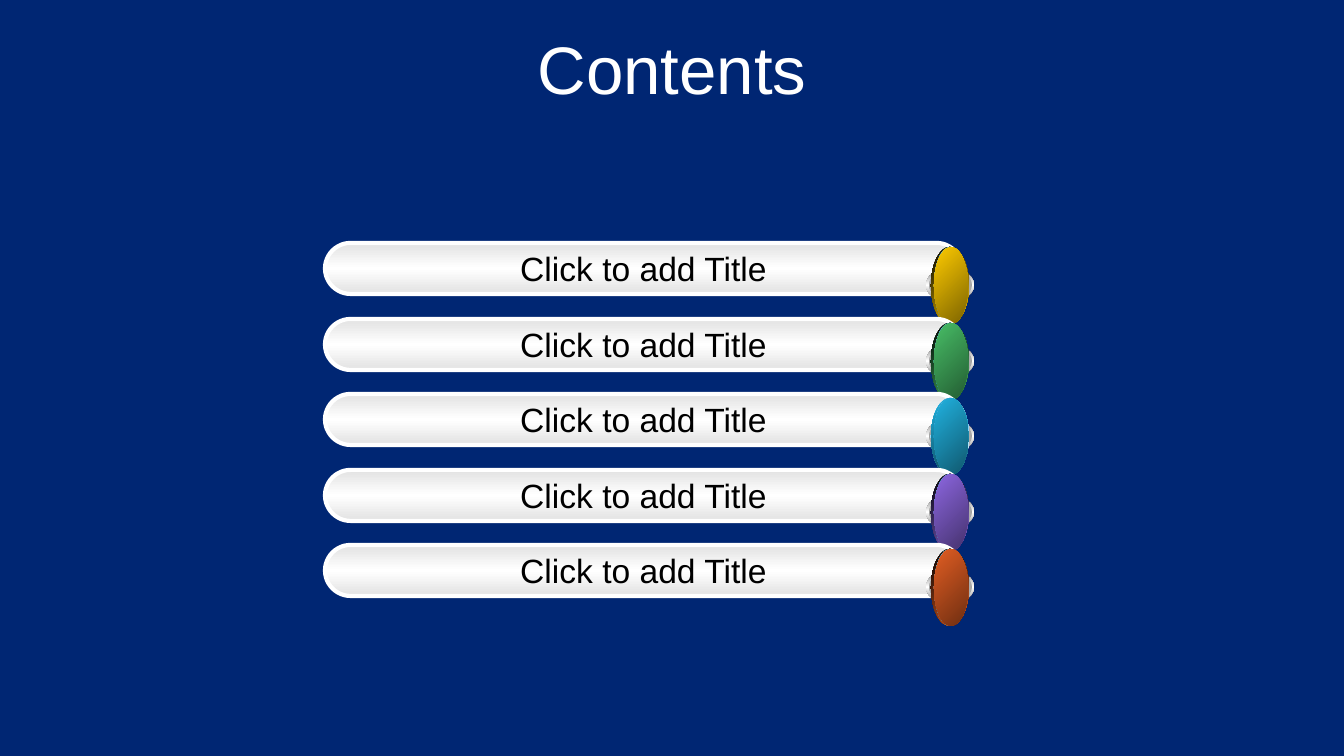
from copy import deepcopy

from pptx import Presentation
from pptx.dml.color import RGBColor
from pptx.enum.shapes import MSO_SHAPE
from pptx.enum.text import MSO_ANCHOR, PP_ALIGN
from pptx.oxml.ns import qn
from pptx.util import Emu, Pt

EMU_PER_PX = 914400 / 134.4
FONT = "Arial"
COLORS = {
    "background": "002673",
    "white": "FFFFFF",
    "black": "000000",
    "bar_edge": "E2E2E2",
    "socket_edge": "767676",
    "socket_inner": "A2A2A2",
    "glow": "66C5F4",
    "glow_edge": "4E97BB",
    "yellow": "FFCC00",
    "yellow_dark": "7C6300",
    "green": "48BE67",
    "green_dark": "235C32",
    "blue": "21B3E1",
    "blue_rim": "0F5368",
    "blue_dark": "10576D",
    "purple": "8D67E1",
    "purple_dark": "45326D",
    "orange": "E35E23",
    "orange_dark": "6E2E11",
}
# Label, knob face colors, knob rim colors, rim angle
ITEMS = [
    ("Click to add Title", ("yellow", "yellow_dark"), ("black", "yellow"), 45),
    ("Click to add Title", ("green", "green_dark"), ("black", "green"), 45),
    ("Click to add Title", ("blue", "blue_dark"), ("blue", "blue_rim"), 90),
    ("Click to add Title", ("purple", "purple_dark"), ("black", "purple"), 45),
    ("Click to add Title", ("orange", "orange_dark"), ("black", "orange"), 45),
]
ROW_PITCH = 75.6


def px(length):
    return Emu(round(length * EMU_PER_PX))


def rgb(name):
    return RGBColor.from_string(COLORS[name])


def fill_gradient(shape, names, angle):
    """Spread the named colors evenly; the angle runs clockwise in degrees."""
    fill = shape.fill
    fill.gradient()
    stop_list = shape.element.spPr.find(qn("a:gradFill")).find(qn("a:gsLst"))
    while len(stop_list) < len(names):
        stop_list.append(deepcopy(stop_list[0]))
    for index, (stop, name) in enumerate(zip(fill.gradient_stops, names)):
        stop.position = index / (len(names) - 1)
        stop.color.rgb = rgb(name)
    fill.gradient_angle = -angle % 360


def add_gradient_shape(shapes, preset, box, names, angle):
    shape = shapes.add_shape(preset, *map(px, box))
    shape.shadow.inherit = False
    shape.line.fill.background()
    fill_gradient(shape, names, angle)
    return shape


def write_text(shape, text, size, color):
    frame = shape.text_frame
    frame.vertical_anchor = MSO_ANCHOR.MIDDLE
    paragraph = frame.paragraphs[0]
    paragraph.alignment = PP_ALIGN.CENTER
    run = paragraph.add_run()
    run.text = text
    run.font.name = FONT
    run.font.size = Pt(size)
    run.font.color.rgb = rgb(color)


def add_title(slide, box):
    title = slide.shapes.add_textbox(*map(px, box))
    title.text_frame.word_wrap = True
    write_text(title, "Contents", 36, "white")


def add_bar(slide, box, label):
    bar = add_gradient_shape(slide.shapes, MSO_SHAPE.ROUNDED_RECTANGLE, box,
                             ("bar_edge", "white", "bar_edge"), 90)
    bar.adjustments[0] = 0.5
    bar.line.color.rgb = rgb("white")
    bar.line.width = Pt(2.25)
    bar.text_frame.word_wrap = False
    write_text(bar, label, 18, "black")


def add_knob(slide, left, top, face, rim, rim_angle):
    """Stack the socket and the glossy oval from back to front."""
    layers = [
        ((0, 21, 48, 34), ("socket_edge", "white", "socket_edge"), 90),
        ((3, 23, 43, 30), ("socket_inner", "white", "socket_inner"), 0),
        ((5, 0, 38, 77), ("white", "glow", "white"), 45),
        ((5, 0, 38, 77), rim, rim_angle),
        ((8, 0, 32, 77), ("glow_edge", "glow", "glow_edge"), 315),
        ((8, 0, 34, 77), face, 45),
    ]
    group = slide.shapes.add_group_shape()
    for (x, y, width, height), names, angle in layers:
        add_gradient_shape(group.shapes, MSO_SHAPE.OVAL,
                           (left + x, top + y, width, height), names, angle)


def add_contents_list(slide, left, top, width, bar_height):
    for row, (label, face, rim, rim_angle) in enumerate(ITEMS):
        row_top = top + round(row * ROW_PITCH)
        add_bar(slide, (left, row_top, width, bar_height), label)
        add_knob(slide, left + width - 36, row_top + 4, face, rim, rim_angle)


def main():
    presentation = Presentation()
    presentation.slide_width = px(1344)
    presentation.slide_height = px(756)
    slide = presentation.slides.add_slide(presentation.slide_layouts[6])
    slide.background.fill.solid()
    slide.background.fill.fore_color.rgb = rgb("background")
    add_title(slide, (0, 26, 1344, 83))
    add_contents_list(slide, 325, 243, 637, 51)
    presentation.save("out.pptx")


if __name__ == "__main__":
    main()
